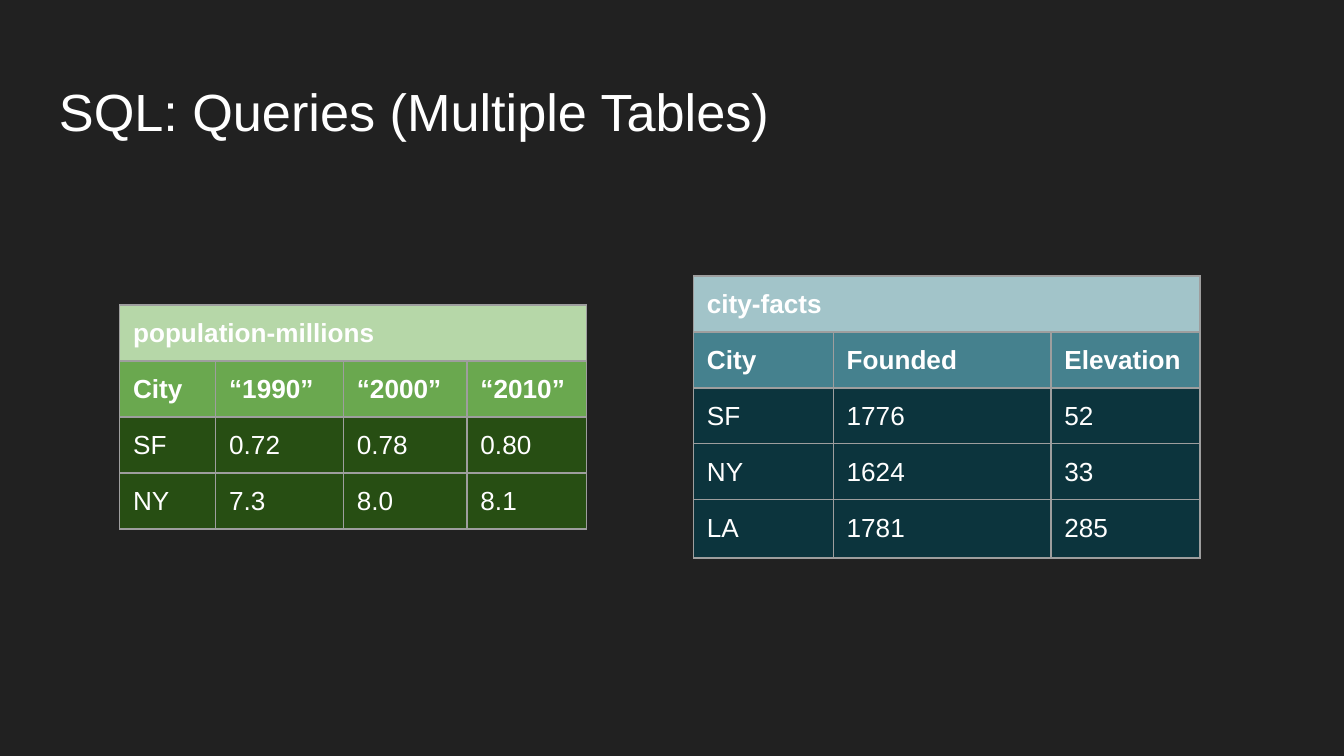
from dataclasses import dataclass

from lxml.etree import SubElement
from pptx import Presentation
from pptx.dml.color import RGBColor
from pptx.enum.text import MSO_ANCHOR
from pptx.oxml.ns import qn
from pptx.util import Inches, Pt

SLIDE_WIDTH = Inches(10)
SLIDE_HEIGHT = SLIDE_WIDTH * 9 // 16


@dataclass(frozen=True)
class Theme:
    font: str = "Arial"
    background: str = "212121"
    text: str = "FFFFFF"
    border: str = "9E9E9E"
    greens: tuple = ("B6D7A8", "6AA84F", "274E13")
    teals: tuple = ("A2C4C9", "45818E", "0C343D")
    title_size: float = 28
    table_size: float = 14
    border_width: float = 0.75
    inset: float = 0.1
    cell_bottom_inset: float = 0.08


THEME = Theme()
ROW_HEIGHT = 7.41  # percent of the slide height


def across(percent):
    return round(SLIDE_WIDTH * percent / 100)


def down(percent):
    return round(SLIDE_HEIGHT * percent / 100)


def set_margins(holder, bottom=THEME.inset):
    """Inset the text of a text frame or a table cell."""
    holder.margin_left = holder.margin_right = Inches(THEME.inset)
    holder.margin_top = Inches(THEME.inset)
    holder.margin_bottom = Inches(bottom)


def add_run(paragraph, text, size, bold=False):
    run = paragraph.add_run()
    run.text = text
    run.font.name = THEME.font
    run.font.size = Pt(size)
    run.font.bold = bold
    run.font.color.rgb = RGBColor.from_string(THEME.text)


def add_title(slide, text):
    box = slide.shapes.add_textbox(across(3.41), down(8.65), across(93.18), down(11.13))
    frame = box.text_frame
    frame.word_wrap = True
    set_margins(frame)
    add_run(frame.paragraphs[0], text, THEME.title_size)


def add_borders(cell):
    properties = cell._tc.get_or_add_tcPr()
    for side in ("a:lnL", "a:lnR", "a:lnT", "a:lnB"):
        line = SubElement(properties, qn(side), w=str(Pt(THEME.border_width)))
        fill = SubElement(line, qn("a:solidFill"))
        SubElement(fill, qn("a:srgbClr"), val=THEME.border)


def style_cell(cell, color):
    add_borders(cell)
    cell.fill.solid()
    cell.fill.fore_color.rgb = RGBColor.from_string(color)
    cell.vertical_anchor = MSO_ANCHOR.TOP
    set_margins(cell, THEME.cell_bottom_inset)


def add_data_table(slide, left, top, widths, name, rows, colors,
                   last_height=ROW_HEIGHT):
    """Add a table: a name row over all columns, a header row, then the data.

    Lengths are percent of the slide; colors are for name, header and data.
    """
    lines = [[name], *rows]
    heights = [ROW_HEIGHT] * len(rows) + [last_height]
    frame = slide.shapes.add_table(
        len(lines), len(widths), across(left), down(top),
        across(sum(widths)), down(sum(heights)))
    table = frame.table
    for column, width in zip(table.columns, widths):
        column.width = across(width)
    for row_index, (values, height) in enumerate(zip(lines, heights)):
        row = table.rows[row_index]
        row.height = down(height)
        for cell in row.cells:
            style_cell(cell, colors[min(row_index, 2)])
        for cell, value in zip(row.cells, values):
            add_run(cell.text_frame.paragraphs[0], value, THEME.table_size,
                    bold=row_index < 2)
    table.cell(0, 0).merge(table.cell(0, len(widths) - 1))


def main():
    presentation = Presentation()
    presentation.slide_width = SLIDE_WIDTH
    presentation.slide_height = SLIDE_HEIGHT
    slide = presentation.slides.add_slide(presentation.slide_layouts[6])
    background = slide.background.fill
    background.solid()
    background.fore_color.rgb = RGBColor.from_string(THEME.background)

    add_title(slide, "SQL: Queries (Multiple Tables)")
    add_data_table(
        slide, 8.9, 40.35, (7.15, 9.5, 9.2, 8.9), "population-millions",
        [("City", "“1990”", "“2000”", "“2010”"),
         ("SF", "0.72", "0.78", "0.80"),
         ("NY", "7.3", "8.0", "8.1")],
        THEME.greens)
    add_data_table(
        slide, 51.6, 36.5, (10.4, 16.2, 11.1), "city-facts",
        [("City", "Founded", "Elevation"),
         ("SF", "1776", "52"),
         ("NY", "1624", "33"),
         ("LA", "1781", "285")],
        THEME.teals, last_height=7.7)
    presentation.save("out.pptx")


if __name__ == "__main__":
    main()
